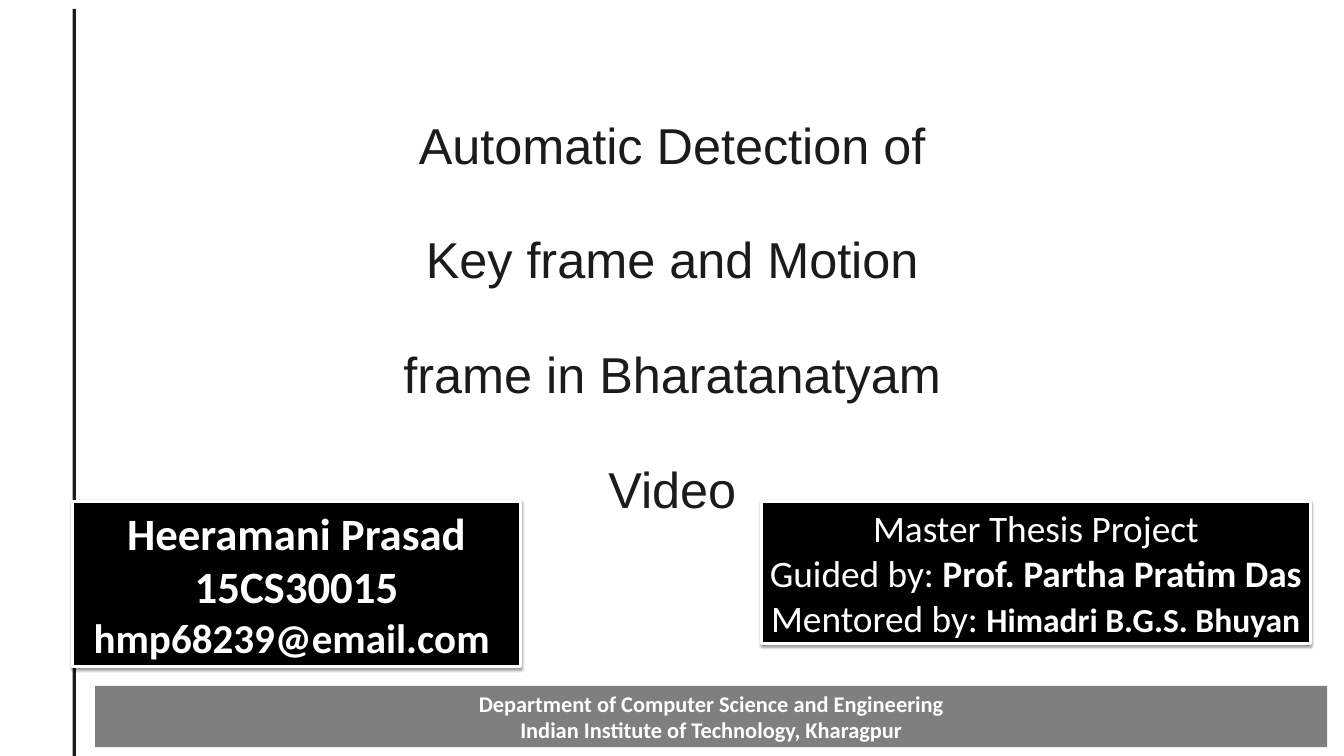
"""Build the title slide of a thesis talk on key frames in dance video."""
import pptx
import pptx.dml.color
import pptx.enum.shapes
import pptx.enum.text
import pptx.oxml.ns
import pptx.util
from lxml import etree

Pt = pptx.util.Pt
qn = pptx.oxml.ns.qn
CENTER = pptx.enum.text.PP_ALIGN.CENTER
COLORS = {"ink": "1B1B1B", "black": "000000", "white": "FFFFFF"}


def rgb(name):
    return pptx.dml.color.RGBColor.from_string(COLORS[name])


def add_block(page, left, top, width, height, color):
    block = page.shapes.add_shape(
        pptx.enum.shapes.MSO_SHAPE.RECTANGLE, Pt(left), Pt(top), Pt(width), Pt(height)
    )
    block.shadow.inherit = False
    block.fill.solid()
    block.fill.fore_color.rgb = rgb(color)
    block.line.fill.background()
    return block


deck = pptx.Presentation()
deck.slide_width, deck.slide_height = Pt(1440), Pt(810)
page = deck.slides.add_slide(deck.slide_layouts[5])

title = page.shapes.title
title.left, title.top, title.width, title.height = Pt(406), Pt(63.4), Pt(628.6), Pt(404.6)
frame = title.text_frame
frame.text = "Automatic Detection of Key frame and Motion frame in Bharatanatyam Video"
frame.margin_left = frame.margin_right = frame.margin_top = frame.margin_bottom = 0
frame.vertical_anchor = pptx.enum.text.MSO_ANCHOR.TOP
frame.auto_size = pptx.enum.text.MSO_AUTO_SIZE.NONE
frame.word_wrap = True
para = frame.paragraphs[0]
para.alignment = CENTER
para.line_spacing = 1.9
para.font.name = "Arial"
para.font.size = Pt(54)
para.font.color.rgb = rgb("ink")

add_block(page, 77.8, 9.4, 3.6, 800.6, "ink")

author = add_block(page, 77.8, 537, 480, 177, "black")
thesis = add_block(page, 815.8, 537, 588, 152.6, "black")
footer = add_block(page, 102, 735, 1320, 65.5, "black")

for card in (author, thesis):
    card.line.color.rgb = rgb("white")
    card.line.width = Pt(3)
    effects = card._element.spPr.find(qn("a:effectLst"))
    shadow = etree.SubElement(
        effects, qn("a:outerShdw"), blurRad=str(Pt(3.1)), dist=str(Pt(1.6)),
        dir="5400000", rotWithShape="0",
    )
    shade = etree.SubElement(shadow, qn("a:srgbClr"), val=COLORS["black"])
    etree.SubElement(shade, qn("a:alpha"), val="38000")

footer_color = footer._element.spPr.find(qn("a:solidFill"))[0]
etree.SubElement(footer_color, qn("a:alpha"), val="50000")

texts = [
    (author, [
        [("Heeramani Prasad", 48, True)],
        [("15CS30015", 48, True)],
        [("hmp68239@email.com ", 44, True)],
    ]),
    (thesis, [
        [("Master Thesis Project", 40, False)],
        [("Guided by: ", 40, False), ("Prof. Partha Pratim Das", 40, True)],
        [("Mentored by: ", 40, False), ("Himadri B.G.S. Bhuyan", 36, True)],
    ]),
    (footer, [
        [("Department of Computer Science and Engineering", 24, True)],
        [("Indian Institute of Technology, Kharagpur", 24, True)],
    ]),
]
for block, lines in texts:
    frame = block.text_frame
    frame.word_wrap = True
    for index, spans in enumerate(lines):
        para = frame.add_paragraph() if index else frame.paragraphs[0]
        para.alignment = CENTER
        para.font.name = "Calibri"
        para.font.color.rgb = rgb("white")
        for text, size, bold in spans:
            span = para.add_run()
            span.text = text
            span.font.size = Pt(size)
            span.font.bold = bold

deck.save("out.pptx")
